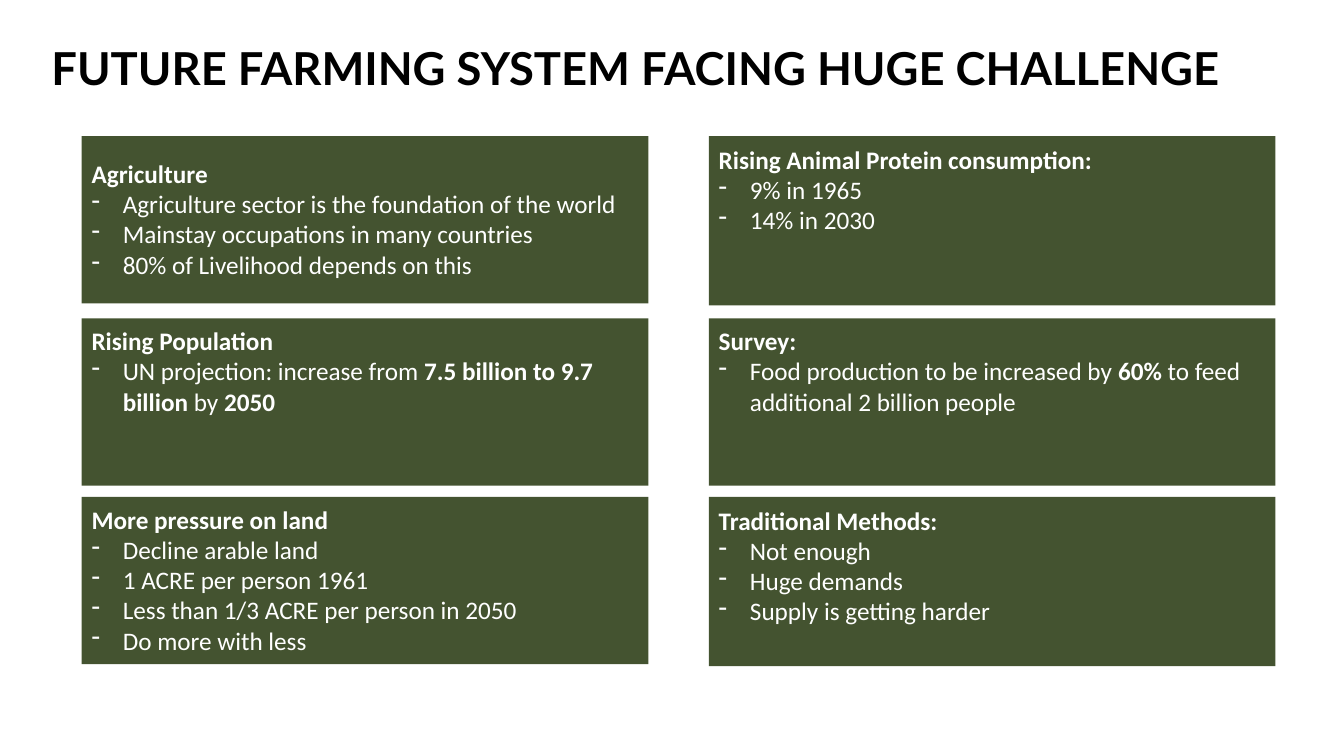
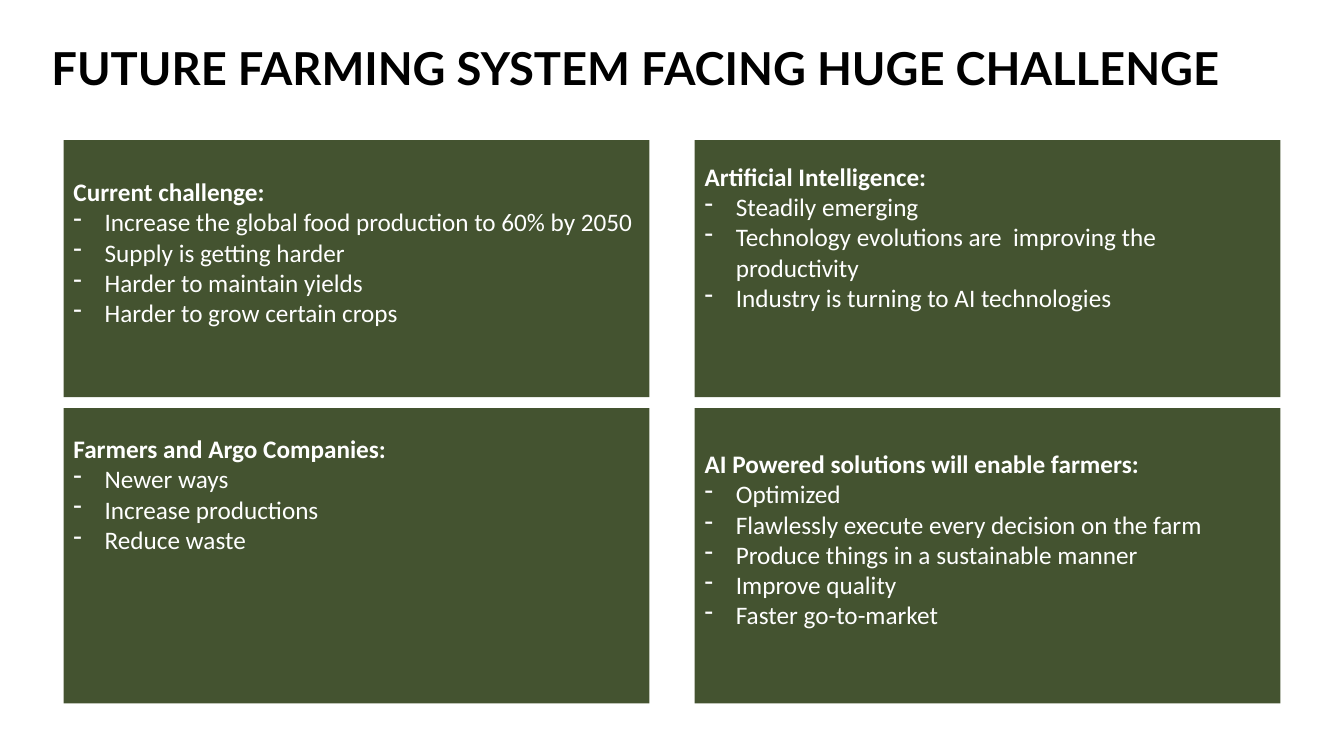
"""Build two slides of text cards on the challenges facing farming."""
from dataclasses import dataclass
from typing import Sequence

from lxml.etree import SubElement
from pptx import Presentation
from pptx.dml.color import RGBColor
from pptx.enum.shapes import MSO_SHAPE as ShapeKind
from pptx.enum.text import MSO_ANCHOR as Anchor, PP_ALIGN as Align
from pptx.oxml.ns import qn
from pptx.slide import Slide
from pptx.util import Inches, Pt


@dataclass(frozen=True)
class Theme:
    card: RGBColor = RGBColor(0x44, 0x53, 0x30)
    card_text: RGBColor = RGBColor(0xFF, 0xFF, 0xFF)
    title_text: RGBColor = RGBColor(0, 0, 0)
    title_font: str = "Lato"
    body_font: str = "Calibri"
    title_size: float = 32.4
    body_size: float = 18


@dataclass(frozen=True)
class Span:
    text: str
    bold: bool = False


@dataclass(frozen=True)
class Card:
    heading: str
    bullets: Sequence[str | Sequence[Span]]
    column: int
    row: int
    height: float
    text_top: float


@dataclass(frozen=True)
class Page:
    lefts: Sequence[float]
    tops: Sequence[float]
    card_width: float
    cards: Sequence[Card]


THEME = Theme()
TITLE = "FUTURE FARMING SYSTEM FACING HUGE CHALLENGE"
HANGING = 0.31

PAGES = (
    Page((0.81, 7.03), (1.35, 3.16, 4.93), 5.62, (
        Card("Agriculture", (
            "Agriculture sector is the foundation of the world",
            "Mainstay occupations in many countries",
            "80% of Livelihood depends on this",
        ), 0, 0, 1.66, 0.22),
        Card("Rising Population", (
            (Span("UN projection: increase from "), Span("7.5 billion to 9.7 billion", True),
             Span(" by "), Span("2050", True)),
        ), 0, 1, 1.66, 0.07),
        Card("More pressure on land", (
            "Decline arable land",
            "1 ACRE per person 1961",
            "Less than 1/3 ACRE per person in 2050",
            "Do more with less",
        ), 0, 2, 1.66, 0.07),
        Card("Rising Animal Protein consumption:", (
            "9% in 1965",
            "14% in 2030",
        ), 1, 0, 1.68, 0.08),
        Card("Survey:", (
            (Span("Food production to be increased by "), Span("60%", True),
             Span(" to feed additional 2 billion people")),
        ), 1, 1, 1.66, 0.07),
        Card("Traditional Methods:", (
            "Not enough",
            "Huge demands",
            "Supply is getting harder",
        ), 1, 2, 1.68, 0.08),
    )),
    Page((0.63, 6.89), (1.39, 4.05), 5.81, (
        Card("Current challenge:", (
            "Increase the global food production to 60% by 2050",
            "Supply is getting harder",
            "Harder to maintain yields",
            "Harder to grow certain crops",
        ), 0, 0, 2.55, 0.36),
        Card("Farmers and Argo Companies:", (
            "Newer ways",
            "Increase productions",
            "Reduce waste",
        ), 0, 1, 2.93, 0.25),
        Card("Artificial Intelligence:", (
            "Steadily emerging",
            "Technology evolutions are  improving the productivity",
            "Industry is turning to AI technologies",
        ), 1, 0, 2.55, 0.21),
        Card("AI Powered solutions will enable farmers:", (
            "Optimized",
            "Flawlessly execute every decision on the farm",
            "Produce things in a sustainable manner",
            "Improve quality",
            "Faster go-to-market",
        ), 1, 1, 2.93, 0.4),
    )),
)


def add_run(paragraph, span: Span, font: str, size: float, color: RGBColor) -> None:
    run = paragraph.add_run()
    run.text = span.text
    run.font.name = font
    run.font.size = Pt(size)
    run.font.bold = span.bold
    run.font.color.rgb = color


def set_indent(paragraph, left: float, first: float = 0) -> None:
    properties = paragraph._p.get_or_add_pPr()
    properties.set("marL", str(Inches(left)))
    properties.set("indent", str(Inches(first)))


def add_title(slide: Slide) -> None:
    box = slide.shapes.add_textbox(Inches(0.42), Inches(0.42), Inches(12.5), Inches(0.58))
    frame = box.text_frame
    frame.word_wrap = True
    frame.vertical_anchor = Anchor.MIDDLE
    frame.margin_left = frame.margin_right = frame.margin_bottom = 0
    frame.margin_top = Inches(0.05)
    paragraph = frame.paragraphs[0]
    set_indent(paragraph, 0.09)
    paragraph.line_spacing = 0.7
    add_run(paragraph, Span(TITLE, True), THEME.title_font, THEME.title_size, THEME.title_text)


def add_card(slide: Slide, page: Page, card: Card) -> None:
    shape = slide.shapes.add_shape(
        ShapeKind.RECTANGLE, Inches(page.lefts[card.column]), Inches(page.tops[card.row]),
        Inches(page.card_width), Inches(card.height))
    shape.shadow.inherit = False
    shape.fill.solid()
    shape.fill.fore_color.rgb = THEME.card
    shape.line.fill.background()
    frame = shape.text_frame
    frame.word_wrap = True
    frame.vertical_anchor = Anchor.TOP
    frame.margin_top = Inches(card.text_top)
    frame.margin_bottom = 0
    heading = frame.paragraphs[0]
    heading.alignment = Align.LEFT
    add_run(heading, Span(card.heading, True), THEME.body_font, THEME.body_size, THEME.card_text)
    for bullet in card.bullets:
        paragraph = frame.add_paragraph()
        paragraph.alignment = Align.LEFT
        set_indent(paragraph, HANGING, -HANGING)
        SubElement(paragraph._p.get_or_add_pPr(), qn("a:buChar")).set("char", "-")
        for span in (Span(bullet),) if isinstance(bullet, str) else bullet:
            add_run(paragraph, span, THEME.body_font, THEME.body_size, THEME.card_text)


def main() -> None:
    presentation = Presentation()
    presentation.slide_width = Inches(13.33)
    presentation.slide_height = Inches(7.5)
    for page in PAGES:
        slide = presentation.slides.add_slide(presentation.slide_layouts[6])
        add_title(slide)
        for card in page.cards:
            add_card(slide, page, card)
    presentation.save("out.pptx")


if __name__ == "__main__":
    main()
